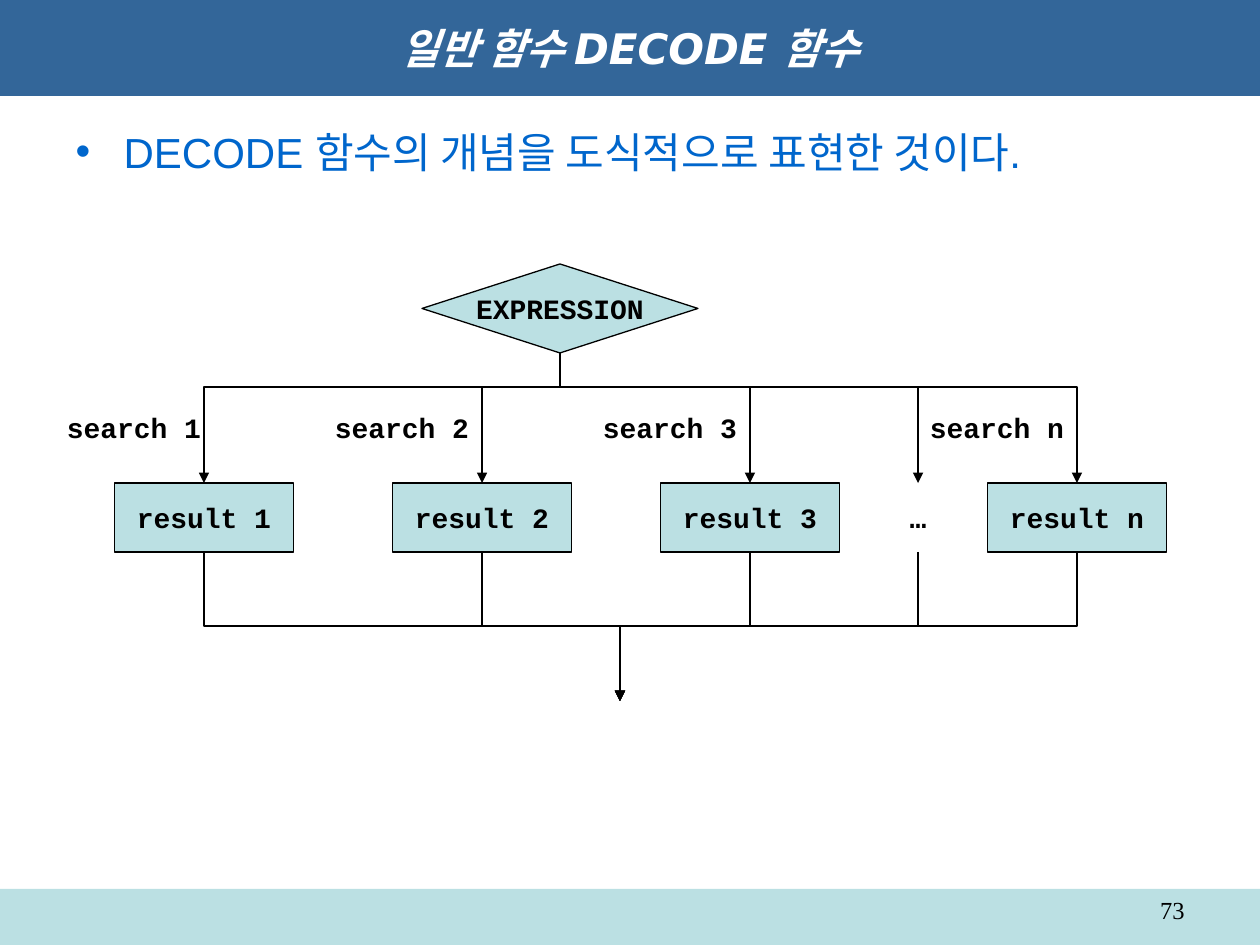
"""Build the slide that shows the DECODE function as a branching diagram."""
import pptx
import pptx.util
from dataclasses import dataclass
from lxml import etree
from pptx.dml.color import RGBColor
from pptx.enum.shapes import MSO_CONNECTOR, MSO_SHAPE
from pptx.enum.text import MSO_ANCHOR, MSO_AUTO_SIZE, PP_ALIGN
from pptx.oxml.ns import qn

TITLE = "일반 함수 DECODE 함수"
BODY = "DECODE 함수의 개념을 도식적으로 표현한 것이다."
EXPRESSION = "EXPRESSION"
PAGE_NUMBER = "73"
BRANCHES = [
    {"center": 204, "result": "result 1", "search": "search 1", "search_center": 134},
    {"center": 482, "result": "result 2", "search": "search 2", "search_center": 402},
    {"center": 750, "result": "result 3", "search": "search 3", "search_center": 670},
    {"center": 918, "result": "…"},
    {"center": 1077, "result": "result n", "search": "search n", "search_center": 997},
]

SLIDE_WIDTH, SLIDE_HEIGHT = 1260, 945
TITLE_BOX = (0, 0, SLIDE_WIDTH, 96)
BODY_BOX = (63, 120, 1134, 750)
FOOTER_BOX = (0, 889, SLIDE_WIDTH, 56)
NUMBER_BOX = (903, 889, 294, 37)
DIAMOND_BOX = (422, 264, 276, 89)
ROW_HEIGHT = 69
RESULT_TOP, RESULT_WIDTH, ELLIPSIS_WIDTH = 483, 179, 59
SEARCH_TOP, SEARCH_WIDTH = 393, 139
SPLIT_Y, MERGE_Y = 387, 626
EXIT = (620, 701)
BULLET_INDENT = 48


@dataclass(frozen=True)
class Theme:
    banner: str = "336699"
    panel: str = "BBE0E3"
    accent: str = "0066CC"
    ink: str = "000000"
    paper: str = "FFFFFF"
    title_font: str = "DejaVu Sans"
    body_font: str = "Arial"
    code_font: str = "Courier New"
    number_font: str = "Times New Roman"
    heading_size: int = 24
    code_size: int = 16
    number_size: int = 14
    line_width: float = 0.75


THEME = Theme()
CODE = {"font": THEME.code_font, "size": THEME.code_size, "bold": True, "wrap": False}


def px(value):
    return pptx.util.Emu(round(value * 914400 / 126))


def place(shape, box):
    shape.left, shape.top, shape.width, shape.height = map(px, box)


def paint(shape, color):
    shape.fill.solid()
    shape.fill.fore_color.rgb = RGBColor.from_string(color)


def write(shape, text, *, font, size, color=THEME.ink, bold=False, italic=False,
          align=PP_ALIGN.CENTER, anchor=MSO_ANCHOR.MIDDLE, wrap=True):
    frame = shape.text_frame
    frame.auto_size = MSO_AUTO_SIZE.NONE
    frame.word_wrap = wrap
    frame.vertical_anchor = anchor
    paragraph = frame.paragraphs[0]
    paragraph.alignment = align
    run = paragraph.add_run()
    run.text = text
    run.font.name, run.font.size = font, pptx.util.Pt(size)
    run.font.bold, run.font.italic = bold, italic
    run.font.color.rgb = RGBColor.from_string(color)
    return paragraph


def add_bullet(paragraph, color):
    properties = paragraph._p.get_or_add_pPr()
    properties.set("marL", str(px(BULLET_INDENT)))
    properties.set("indent", str(-px(BULLET_INDENT)))
    bullet_color = etree.SubElement(properties, qn("a:buClr"))
    etree.SubElement(bullet_color, qn("a:srgbClr"), val=color)
    etree.SubElement(properties, qn("a:buChar"), char="•")


def add_box(slide, kind, box, color, outlined=True):
    shape = slide.shapes.add_shape(kind, *map(px, box))
    shape.shadow.inherit = False
    paint(shape, color)
    if outlined:
        shape.line.color.rgb = RGBColor.from_string(THEME.ink)
        shape.line.width = pptx.util.Pt(THEME.line_width)
    else:
        shape.line.fill.background()
    return shape


def add_label(slide, text, center, top, width):
    label = slide.shapes.add_textbox(*map(px, (center - width / 2, top, width, ROW_HEIGHT)))
    write(label, text, **CODE)
    return label


def add_elbow(slide, start, end, bend_y, begin_shape=None, end_shape=None):
    (x1, y1), (x2, y2) = start, end
    connector = slide.shapes.add_connector(MSO_CONNECTOR.ELBOW, *map(px, (x1, y1, x2, y2)))
    if begin_shape is not None:
        connector.begin_connect(begin_shape, 2)
    if end_shape is not None:
        connector.end_connect(end_shape, 0)
    length, spread = y2 - y1, abs(x2 - x1)
    place(connector, ((x1 + x2 - length) / 2, (y1 + y2 - spread) / 2, length, spread))
    properties = connector._element.spPr
    transform = properties.find(qn("a:xfrm"))
    rightward = x2 > x1
    transform.set("rot", str((270 if rightward else 90) * 60000))
    transform.set("flipH", "1" if rightward else "0")
    transform.set("flipV", "0")
    adjustments = properties.find(qn("a:prstGeom")).find(qn("a:avLst"))
    bend = round((bend_y - y1) / length * 100000)
    etree.SubElement(adjustments, qn("a:gd"), name="adj1", fmla=f"val {bend}")
    connector.line.color.rgb = RGBColor.from_string(THEME.ink)
    connector.line.width = pptx.util.Pt(THEME.line_width)
    etree.SubElement(properties.find(qn("a:ln")), qn("a:tailEnd"), type="triangle")
    etree.SubElement(properties, qn("a:effectLst"))


def add_diagram(slide):
    left, top, width, height = DIAMOND_BOX
    diamond = add_box(slide, MSO_SHAPE.FLOWCHART_DECISION, DIAMOND_BOX, THEME.panel)
    write(diamond, EXPRESSION, **CODE)
    for branch in BRANCHES:
        center = branch["center"]
        if "search" in branch:
            box = (center - RESULT_WIDTH / 2, RESULT_TOP, RESULT_WIDTH, ROW_HEIGHT)
            result = add_box(slide, MSO_SHAPE.RECTANGLE, box, THEME.panel)
            write(result, branch["result"], **CODE)
            add_label(slide, branch["search"], branch["search_center"], SEARCH_TOP, SEARCH_WIDTH)
        else:
            result = add_label(slide, branch["result"], center, RESULT_TOP, ELLIPSIS_WIDTH)
        add_elbow(slide, (left + width / 2, top + height), (center, RESULT_TOP), SPLIT_Y,
                  begin_shape=diamond, end_shape=result)
        add_elbow(slide, (center, RESULT_TOP + ROW_HEIGHT), EXIT, MERGE_Y, begin_shape=result)


def main():
    presentation = pptx.Presentation()
    presentation.slide_width, presentation.slide_height = px(SLIDE_WIDTH), px(SLIDE_HEIGHT)
    slide = presentation.slides.add_slide(presentation.slide_layouts[1])
    paint(slide.background, THEME.paper)
    add_box(slide, MSO_SHAPE.RECTANGLE, FOOTER_BOX, THEME.panel, outlined=False)

    title, body = slide.placeholders
    place(title, TITLE_BOX)
    paint(title, THEME.banner)
    write(title, TITLE, font=THEME.title_font, size=THEME.heading_size,
          color=THEME.paper, bold=True, italic=True)
    place(body, BODY_BOX)
    paragraph = write(body, BODY, font=THEME.body_font, size=THEME.heading_size,
                      color=THEME.accent, align=PP_ALIGN.LEFT, anchor=MSO_ANCHOR.TOP)
    add_bullet(paragraph, THEME.accent)

    add_diagram(slide)
    number = slide.shapes.add_textbox(*map(px, NUMBER_BOX))
    write(number, PAGE_NUMBER, font=THEME.number_font, size=THEME.number_size,
          align=PP_ALIGN.RIGHT, anchor=MSO_ANCHOR.TOP)
    presentation.save("out.pptx")


if __name__ == "__main__":
    main()
